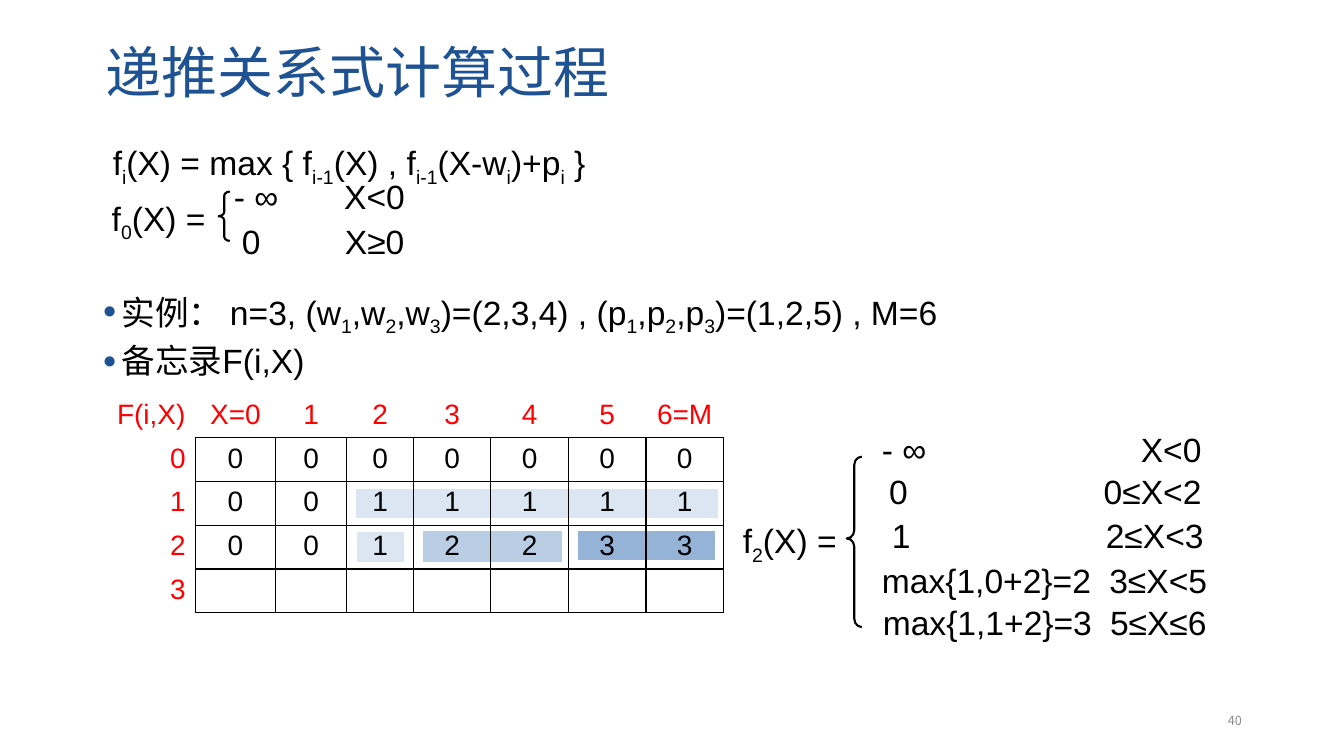
"""Build the slide on computing a knapsack recurrence with a memo table."""
from lxml.etree import SubElement
from pptx import Presentation
from pptx.dml.color import RGBColor
from pptx.enum.shapes import MSO_SHAPE as Shape
from pptx.enum.text import MSO_ANCHOR as Anchor, MSO_AUTO_SIZE as AutoSize, PP_ALIGN as Align
from pptx.oxml.ns import qn
from pptx.util import Pt

COLORS = {"title": "1E5293", "text": "000000", "label": "FF0000", "number": "8C8C8C",
          "white": "FFFFFF", "light": "DCE6F2", "medium": "B9CDE5", "strong": "95B3D7"}
LATIN, CHINESE = "Arial", "Noto Sans CJK SC"

TITLE = "递推关系式计算过程"
BULLETS = ["实例： n=3, (w|1|,w|2|,w|3|)=(2,3,4) , (p|1|,p|2|,p|3|)=(1,2,5) , M=6",
           "备忘录F(i,X)"]
FORMULAS = [
    ("f|i|(X) = max { f|i-1|(X) , f|i-1|(X-w|i|)+p|i| }", 73.5, 98, 556),
    ("f|0|(X) =", 72.7, 137.5, 93),
    ("f|2|(X) =", 523.5, 368, 98),
]
CASES = [
    ("- ∞", "X<0", 160, 122.4, 246),
    ("0", "X≥0", 165.6, 154, 246.5),
    ("- ∞", "X<0", 622.8, 303, 815),
    ("0", "0≤X<2", 628, 332.6, 788.5),
    ("1", "2≤X<3", 630, 364.3, 790),
    ("max{1,0+2}=2", "3≤X<5", 622.8, 396.7, 792.5),
    ("max{1,1+2}=3", "5≤X≤6", 623.5, 426.2, 793),
]
BRACES = [(156.2, 136.8, 8, 35.3, 0.38, 0.5), (604.8, 326.2, 10.8, 121.7, 0.54, 0.48)]
HIGHLIGHTS = [
    ("medium", 301.7, 378.7, 100.8, 23.8),
    ("light", 254.2, 379.4, 35.3, 23),
    ("light", 253.4, 348.5, 260.6, 22.3),
    ("strong", 411.8, 378.7, 99.4, 22.3),
]
MEMO = [
    ["F(i,X)", "X=0", "1", "2", "3", "4", "5", "6=M"],
    ["0", "0", "0", "0", "0", "0", "0", "0"],
    ["1", "0", "0", "1", "1", "1", "1", "1"],
    ["2", "0", "0", "1", "2", "2", "3", "3"],
    ["3", "", "", "", "", "", "", ""],
]
MEMO_LEFT, MEMO_TOP, ROW_HEIGHT = 73.5, 281.5, 31.25
COLUMN_WIDTHS = [66.3, 56.9, 51.1, 47.5] + [55.4] * 4
INSET, TEXT_HEIGHT = 7.2, 36.7


def rgb(name):
    return RGBColor.from_string(COLORS[name])


def style(paragraph, size, color="text", font=LATIN, align=Align.LEFT):
    paragraph.alignment = align
    paragraph.font.size = Pt(size)
    paragraph.font.name = font
    paragraph.font.color.rgb = rgb(color)


def write_formula(paragraph, formula):
    """Write text whose parts between bars are subscripts."""
    for index, part in enumerate(formula.split("|")):
        run = paragraph.add_run()
        run.text = part
        if index % 2:
            run._r.get_or_add_rPr().set("baseline", "-25000")


def place(shape, left, top, width, height):
    shape.left, shape.top, shape.width, shape.height = map(Pt, (left, top, width, height))


def add_text(slide, left, top, width, height=TEXT_HEIGHT):
    frame = slide.shapes.add_textbox(Pt(left), Pt(top), Pt(width), Pt(height)).text_frame
    frame.word_wrap = True
    return frame


def add_shape(slide, kind, left, top, width, height, line):
    shape = slide.shapes.add_shape(kind, Pt(left), Pt(top), Pt(width), Pt(height))
    shape.shadow.inherit = False
    shape.line.color.rgb = rgb(line)
    shape.line.width = Pt(1.5)
    return shape


def add_bullet(paragraph):
    properties = paragraph._p.get_or_add_pPr()
    properties.set("marL", str(Pt(13.5)))
    properties.set("indent", str(-Pt(13.5)))
    color = SubElement(properties, qn("a:buClr"))
    SubElement(color, qn("a:srgbClr"), val=COLORS["title"])
    SubElement(properties, qn("a:buSzPct"), val="70000")
    SubElement(properties, qn("a:buFont"), typeface=LATIN)
    SubElement(properties, qn("a:buChar"), char="●")


def add_case(slide, value, condition, left, top, condition_left):
    paragraph = add_text(slide, left, top, condition_left - left + 110).paragraphs[0]
    tabs = SubElement(paragraph._p.get_or_add_pPr(), qn("a:tabLst"))
    SubElement(tabs, qn("a:tab"), pos=str(Pt(condition_left - left - INSET)), algn="l")
    paragraph.add_run().text = f"{value}\t{condition}"
    style(paragraph, 24)


def set_borders(cell, sides):
    properties = cell._tc.get_or_add_tcPr()
    for side in "LRTB":
        line = SubElement(properties, qn(f"a:ln{side}"), w=str(Pt(1)))
        if side in sides:
            fill = SubElement(line, qn("a:solidFill"))
            SubElement(fill, qn("a:srgbClr"), val=COLORS["text"])
        else:
            SubElement(line, qn("a:noFill"))


def add_memo(slide):
    table = slide.shapes.add_table(
        len(MEMO), len(COLUMN_WIDTHS), Pt(MEMO_LEFT), Pt(MEMO_TOP),
        Pt(sum(COLUMN_WIDTHS)), Pt(ROW_HEIGHT * len(MEMO))).table
    table.first_row = table.horz_banding = False
    for column, width in zip(table.columns, COLUMN_WIDTHS):
        column.width = Pt(width)
    for i, values in enumerate(MEMO):
        table.rows[i].height = Pt(ROW_HEIGHT)
        for j, value in enumerate(values):
            cell = table.cell(i, j)
            if i and j:
                sides = "LRTB"
            else:
                sides = "R" if i else "B" if j else ""
            set_borders(cell, sides)
            cell.fill.background()
            cell.text = value
            style(cell.text_frame.paragraphs[0], 20, "text" if i and j else "label",
                  align=Align.CENTER if j else Align.RIGHT)


def main():
    presentation = Presentation()
    presentation.slide_width, presentation.slide_height = Pt(960), Pt(540)
    slide = presentation.slides.add_slide(presentation.slide_layouts[1])

    for color, *box in HIGHLIGHTS:
        highlight = add_shape(slide, Shape.RECTANGLE, *box, "white")
        highlight.fill.solid()
        highlight.fill.fore_color.rgb = rgb(color)

    title, body = slide.placeholders
    place(title, 68.4, 18.7, 828, 69.8)
    title.text_frame.text = TITLE
    title.text_frame.vertical_anchor = Anchor.MIDDLE
    heading = title.text_frame.paragraphs[0]
    heading.line_spacing = 0.9
    style(heading, 40, "title")

    place(body, 66.2, 205.2, 799, 296.6)
    frame = body.text_frame
    frame.auto_size = AutoSize.NONE
    for index, bullet in enumerate(BULLETS):
        paragraph = frame.add_paragraph() if index else frame.paragraphs[0]
        add_bullet(paragraph)
        paragraph.line_spacing = 0.9
        paragraph.space_before = Pt(7.5 if index else 0)
        write_formula(paragraph, bullet)
        style(paragraph, 24)

    for formula, *box in FORMULAS:
        paragraph = add_text(slide, *box).paragraphs[0]
        write_formula(paragraph, formula)
        style(paragraph, 24)
    for case in CASES:
        add_case(slide, *case)
    for *box, curl, tip in BRACES:
        brace = add_shape(slide, Shape.LEFT_BRACE, *box, "text")
        brace.fill.background()
        brace.adjustments[0], brace.adjustments[1] = curl, tip
    add_memo(slide)

    number = add_text(slide, 678.2, 500.4, 216, 28.8)
    number.vertical_anchor = Anchor.MIDDLE
    number.paragraphs[0].add_run().text = "40"
    style(number.paragraphs[0], 9, "number", CHINESE, Align.RIGHT)
    presentation.save("out.pptx")


if __name__ == "__main__":
    main()
